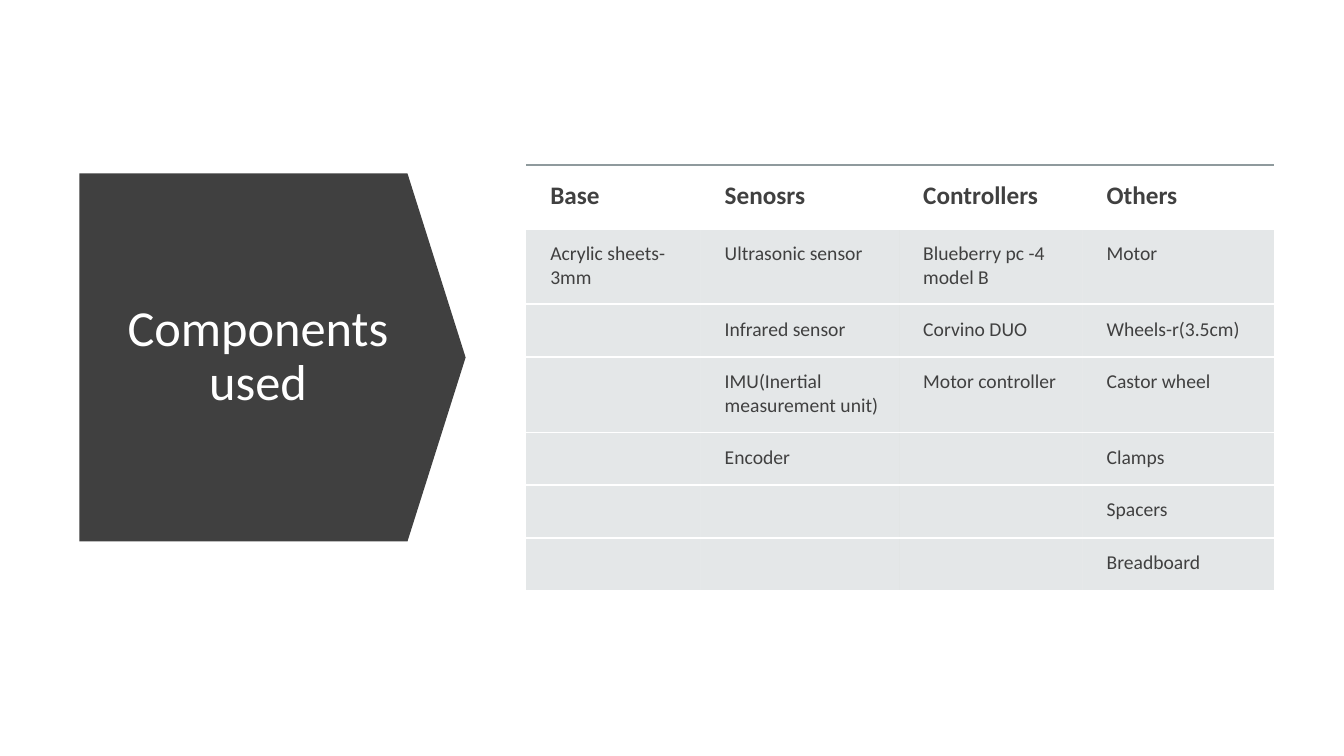
from lxml import etree
from pptx import Presentation
from pptx.dml.color import RGBColor
from pptx.enum.shapes import MSO_SHAPE as Shape
from pptx.enum.text import MSO_ANCHOR as Anchor, MSO_AUTO_SIZE as AutoSize, PP_ALIGN as Align
from pptx.oxml import parse_xml
from pptx.oxml.ns import nsdecls, qn
from pptx.util import Pt

FONT = "Calibri"
DARK, WHITE, BAND, RULE = "404040", "FFFFFF", "B4BCBE", "8F9A9D"
NO_STYLE = "{2D5ABB26-0587-4C30-8999-92F81FD0307C}"

COLUMN_WIDTHS = [124.6, 141.8, 131, 136.8]
ROW_HEIGHTS = [45.4, 54, 37.6, 54, 37.6, 37.6, 37.6]
COMPONENTS = [
    ["Base", "Senosrs", "Controllers", "Others"],
    ["Acrylic sheets- 3mm", "Ultrasonic sensor", "Blueberry pc -4 model B", "Motor"],
    ["", "Infrared sensor", "Corvino DUO", "Wheels-r(3.5cm)"],
    ["", "IMU(Inertial measurement unit)", "Motor controller", "Castor wheel"],
    ["", "Encoder", "", "Clamps"],
    ["", "", "", "Spacers"],
    ["", "", "", "Breadboard"],
]


def color(value):
    return RGBColor.from_string(value)


def style_runs(para, size, value, bold=False):
    for span in para.runs:
        span.font.name = FONT
        span.font.size = Pt(size)
        span.font.bold = bold
        span.font.color.rgb = color(value)


def add_border(cell, side, value, opacity=100):
    """Draw a 1.5 pt line on one side: lnT or lnB; add lnB before lnT."""
    cell._tc.get_or_add_tcPr().insert(0, parse_xml(
        f'<a:{side} {nsdecls("a")} w="{Pt(1.5)}"><a:solidFill><a:srgbClr val="{value}">'
        f'<a:alpha val="{opacity * 1000}"/></a:srgbClr></a:solidFill></a:{side}>'))


def fill_band(cell):
    cell.fill.solid()
    cell.fill.fore_color.rgb = color(BAND)
    tint = cell._tc.tcPr.find(f'{qn("a:solidFill")}/{qn("a:srgbClr")}')
    etree.SubElement(tint, qn("a:alpha")).set("val", "35000")


def write_cell(cell, text, is_header):
    if not text:
        return
    cell.margin_left = Pt(17.3)
    cell.margin_top = cell.margin_right = cell.margin_bottom = Pt(10.8 if is_header else 9.4)
    cell.text_frame.text = text
    style_runs(cell.text_frame.paragraphs[0], 18 if is_header else 14, DARK, is_header)


def add_title_arrow(page, left, top, width, height):
    """Place the right-pointing arrow in the box, with the title over it."""
    # A down arrow turned by 270 degrees: its own width and height are swapped.
    shift = (width - height) / 2
    arrow = page.shapes.add_shape(Shape.DOWN_ARROW, Pt(left + shift), Pt(top - shift),
                                  Pt(height), Pt(width))
    arrow.rotation = 270
    arrow.adjustments[0], arrow.adjustments[1] = 1, 0.158
    arrow.shadow.inherit = False
    arrow.fill.solid()
    arrow.fill.fore_color.rgb = color(DARK)
    arrow.line.fill.background()

    title = page.shapes.title
    title._element.addprevious(arrow._element)
    title.left, title.top = Pt(left + 23.8), Pt(top + 31)
    title.width, title.height = Pt(207.4), Pt(height - 62)
    frame = title.text_frame
    frame.text = "Components used"
    frame.word_wrap = True
    frame.auto_size = AutoSize.NONE
    frame.vertical_anchor = Anchor.MIDDLE
    para = frame.paragraphs[0]
    para.alignment = Align.CENTER
    para.line_spacing = 0.9
    style_runs(para, 36, WHITE)


def add_components_table(page, left, top):
    box = page.shapes.add_table(len(ROW_HEIGHTS), len(COLUMN_WIDTHS), Pt(left), Pt(top),
                                Pt(sum(COLUMN_WIDTHS)), Pt(sum(ROW_HEIGHTS)))
    table = box.table
    table.first_row = table.horz_banding = False
    table._tbl.tblPr.find(qn("a:tableStyleId")).text = NO_STYLE
    for column, width in zip(table.columns, COLUMN_WIDTHS):
        column.width = Pt(width)
    for index, (row, height) in enumerate(zip(table.rows, ROW_HEIGHTS)):
        row.height = Pt(height)
        is_header = index == 0
        for cell, text in zip(row.cells, COMPONENTS[index]):
            write_cell(cell, text, is_header)
            if is_header:
                cell.fill.background()
            else:
                fill_band(cell)
            add_border(cell, "lnB", WHITE)
            if is_header:
                add_border(cell, "lnT", RULE)
            else:
                add_border(cell, "lnT", WHITE)


def main():
    deck = Presentation()
    deck.slide_width, deck.slide_height = Pt(960), Pt(540)
    page = deck.slides.add_slide(deck.slide_layouts[5])
    add_title_arrow(page, 56.8, 123.9, 275.8, 262.8)
    add_components_table(page, 375.8, 118)
    deck.save("out.pptx")


if __name__ == "__main__":
    main()
